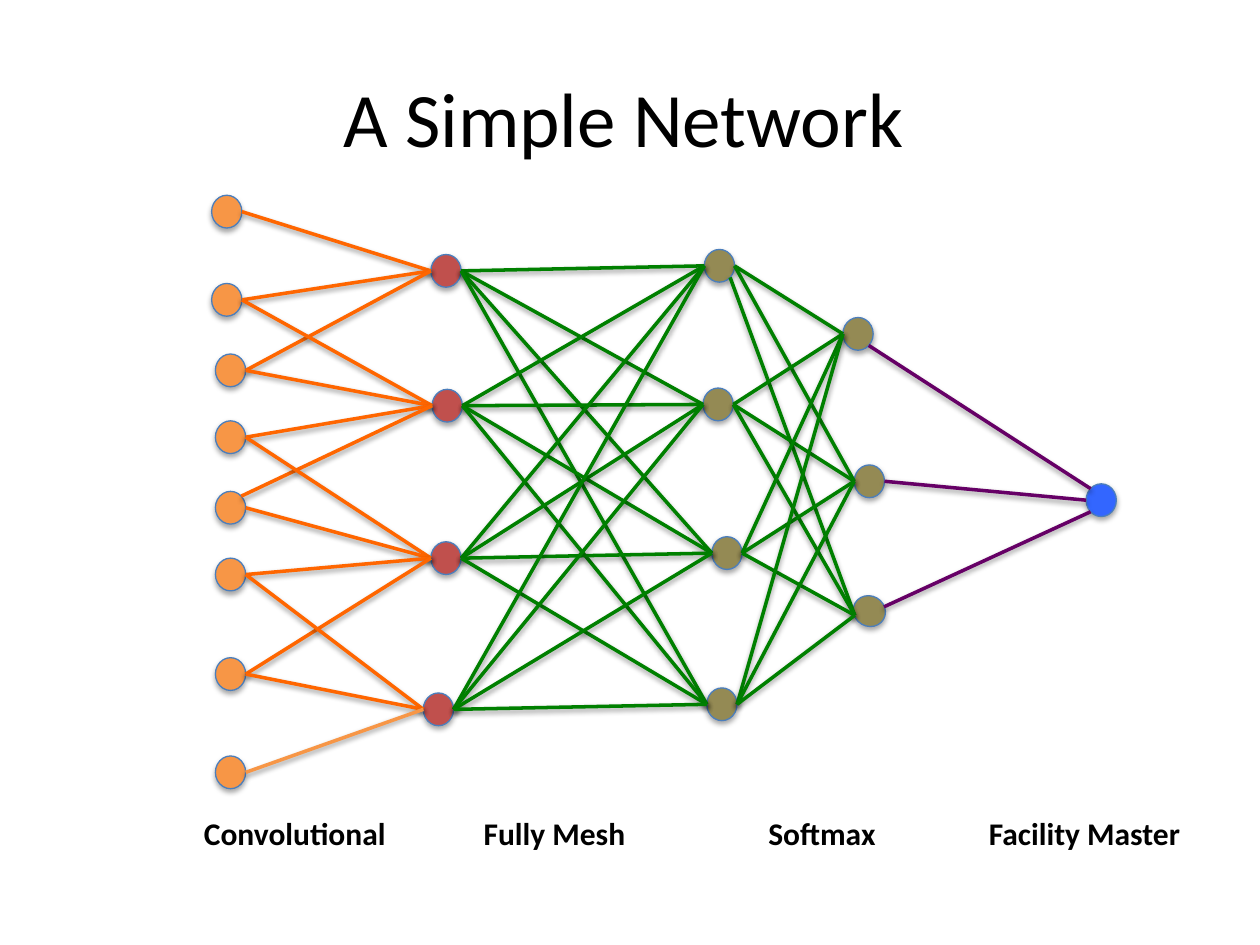
from itertools import product
from math import cos, radians, sin

from lxml import etree
from pptx import Presentation
from pptx.dml.color import RGBColor
from pptx.enum.shapes import MSO_CONNECTOR, MSO_SHAPE
from pptx.enum.text import MSO_ANCHOR, PP_ALIGN
from pptx.oxml.ns import qn
from pptx.util import Inches, Pt

BLACK = RGBColor(0x00, 0x00, 0x00)
ORANGE = RGBColor(0xF7, 0x96, 0x46)
DEEP_ORANGE = RGBColor(0xFF, 0x66, 0x00)
RED = RGBColor(0xC0, 0x50, 0x4D)
OLIVE = RGBColor(0x94, 0x8A, 0x54)
BLUE = RGBColor(0x33, 0x66, 0xFF)
OUTLINE = RGBColor(0x4B, 0x7E, 0xBC)
GREEN = RGBColor(0x00, 0x80, 0x00)
PURPLE = RGBColor(0x66, 0x00, 0x66)

NODE_W, NODE_H = 0.24, 0.26
LEFT, RIGHT = 180, 0

# Left and top of every node, layer by layer
INPUTS = [(1.68, 1.55), (1.68, 2.25), (1.71, 2.81), (1.71, 3.34),
          (1.71, 3.9), (1.71, 4.43), (1.71, 5.22), (1.71, 6)]
FILTERS = [(3.42, 2.02), (3.43, 3.09), (3.42, 4.3), (3.36, 5.5)]
MESH = [(5.59, 1.98), (5.58, 3.08), (5.65, 4.26), (5.61, 5.46)]
SOFTMAX = [(6.69, 2.52), (6.78, 3.69), (6.78, 4.72)]
MASTER = (8.62, 3.84)
TILTED = SOFTMAX[2]

# Label and its tab position from the left of the text
LABELS = [("Convolutional", 0), ("Fully Mesh", 2.22),
          ("Softmax", 4.48), ("Facility Master", 6.23)]


def port(node, angle):
    """Point on a node's rim; angles run clockwise from the right."""
    left, top = node
    turn = radians(angle)
    return (left + NODE_W / 2 * (1 + cos(turn)),
            top + NODE_H / 2 * (1 + sin(turn)))


class NetworkSlide:
    font = "Calibri"

    def __init__(self, deck):
        self.page = deck.slides.add_slide(deck.slide_layouts[5])

    def style_text(self, para, size, bold=False):
        para.font.name = self.font
        para.font.size = Pt(size)
        para.font.bold = bold
        para.font.color.rgb = BLACK

    def shadow(self, shape, distance, opacity):
        properties = shape._element.spPr
        effects = etree.SubElement(properties, qn("a:effectLst"))
        outer = etree.SubElement(effects, qn("a:outerShdw"), blurRad=str(Pt(3.1)),
                                 dist=str(Pt(distance)), dir="5400000", rotWithShape="0")
        color = etree.SubElement(outer, qn("a:srgbClr"), val=str(BLACK))
        etree.SubElement(color, qn("a:alpha"), val=str(opacity * 1000))

    def title(self, text):
        box = self.page.shapes.title
        box.left, box.top = Inches(0.45), Inches(0.3)
        box.width, box.height = Inches(9), Inches(1.25)
        frame = box.text_frame
        frame.text = text
        frame.vertical_anchor = MSO_ANCHOR.MIDDLE
        frame.paragraphs[0].alignment = PP_ALIGN.CENTER
        self.style_text(frame.paragraphs[0], 44)

    def node(self, place, fill):
        left, top = place
        oval = self.page.shapes.add_shape(MSO_SHAPE.OVAL, Inches(left), Inches(top),
                                          Inches(NODE_W), Inches(NODE_H))
        oval.fill.solid()
        oval.fill.fore_color.rgb = fill
        oval.line.color.rgb = OUTLINE
        oval.line.width = Pt(0.75)
        if place == TILTED:
            oval.rotation = 300
        self.shadow(oval, 1.8, 35)

    def link(self, source, target, color, leave=RIGHT, arrive=LEFT):
        ends = port(source, leave) + port(target, arrive)
        line = self.page.shapes.add_connector(MSO_CONNECTOR.STRAIGHT,
                                              *(Inches(value) for value in ends))
        line.line.color.rgb = color
        line.line.width = Pt(2)
        self.shadow(line, 1.6, 38)

    def labels(self, items):
        """Layer names in one line, set on tab stops."""
        box = self.page.shapes.add_textbox(Inches(1.52), Inches(6.41),
                                           Inches(8.4), Inches(0.4))
        frame = box.text_frame
        frame.word_wrap = True
        para = frame.paragraphs[0]
        para.text = "\t".join(name for name, _ in items)
        self.style_text(para, 18, bold=True)
        tabs = etree.Element(qn("a:tabLst"))
        for _, stop in items[1:]:
            etree.SubElement(tabs, qn("a:tab"), pos=str(Inches(stop)), algn="l")
        para._p.get_or_add_pPr().insert(0, tabs)


def main():
    deck = Presentation()
    deck.slide_width, deck.slide_height = Inches(10), Inches(7.5)
    slide = NetworkSlide(deck)
    slide.title("A Simple Network")

    layers = [(INPUTS, ORANGE), (FILTERS, RED), (MESH, OLIVE),
              (SOFTMAX, OLIVE), ([MASTER], BLUE)]
    for places, fill in layers:
        for place in places:
            slide.node(place, fill)

    # Each filter sees four neighbouring inputs, fewer at the ends
    for index, target in enumerate(FILTERS):
        for source in INPUTS[max(0, 2 * index - 1):2 * index + 3]:
            color = ORANGE if source == INPUTS[-1] else DEEP_ORANGE
            leave = -45 if (source, target) == (INPUTS[4], FILTERS[1]) else RIGHT
            slide.link(source, target, color, leave)

    for source, target in product(FILTERS, MESH):
        slide.link(source, target, GREEN)

    for source, target in product(MESH, SOFTMAX):
        leave = 45 if (source, target) == (MESH[0], TILTED) else RIGHT
        slide.link(source, target, GREEN, leave, 165 if target == TILTED else LEFT)

    for source, leave, arrive in zip(SOFTMAX, (45, RIGHT, -15), (225, LEFT, 135)):
        slide.link(source, MASTER, PURPLE, leave, arrive)

    slide.labels(LABELS)
    deck.save("out.pptx")


if __name__ == "__main__":
    main()
